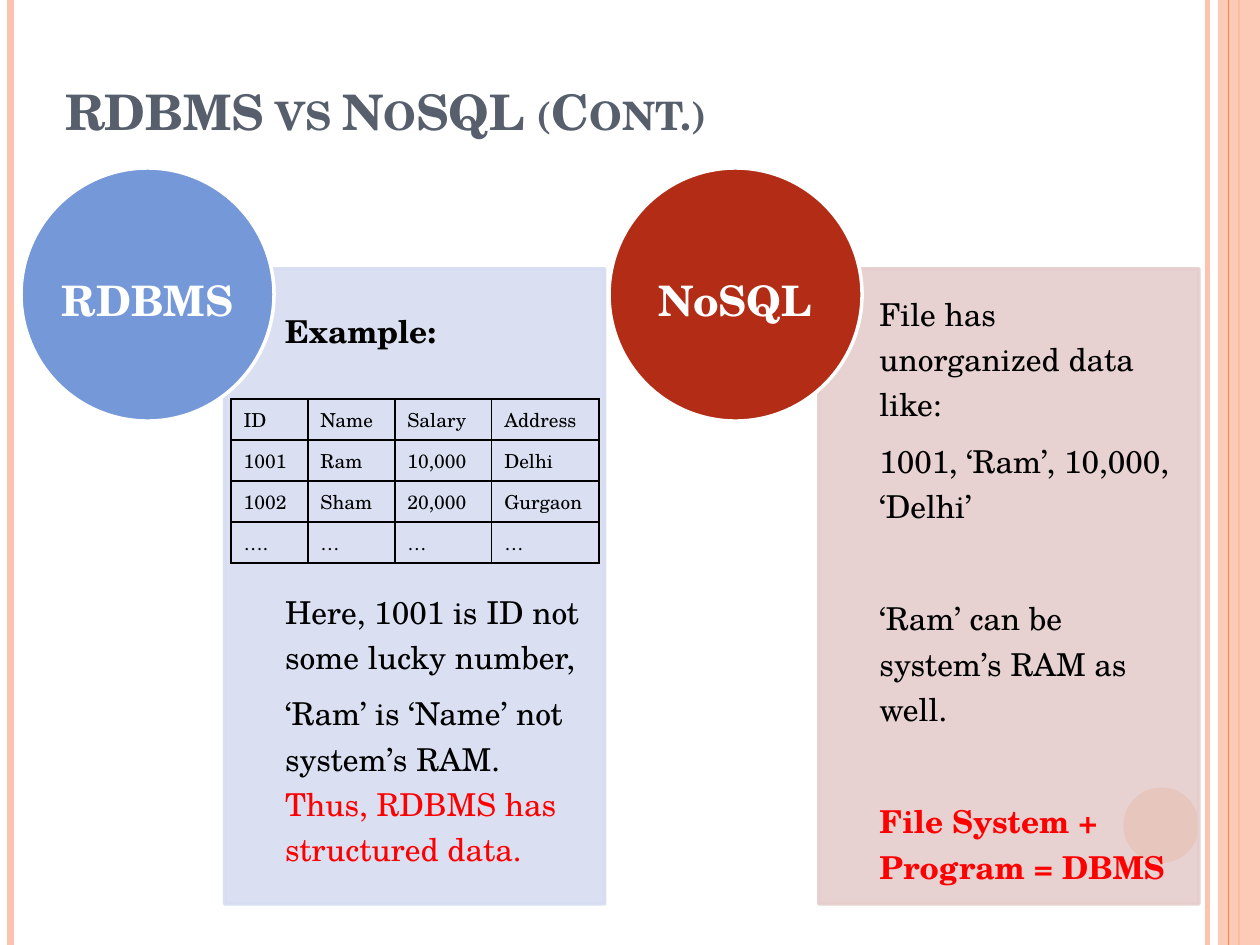
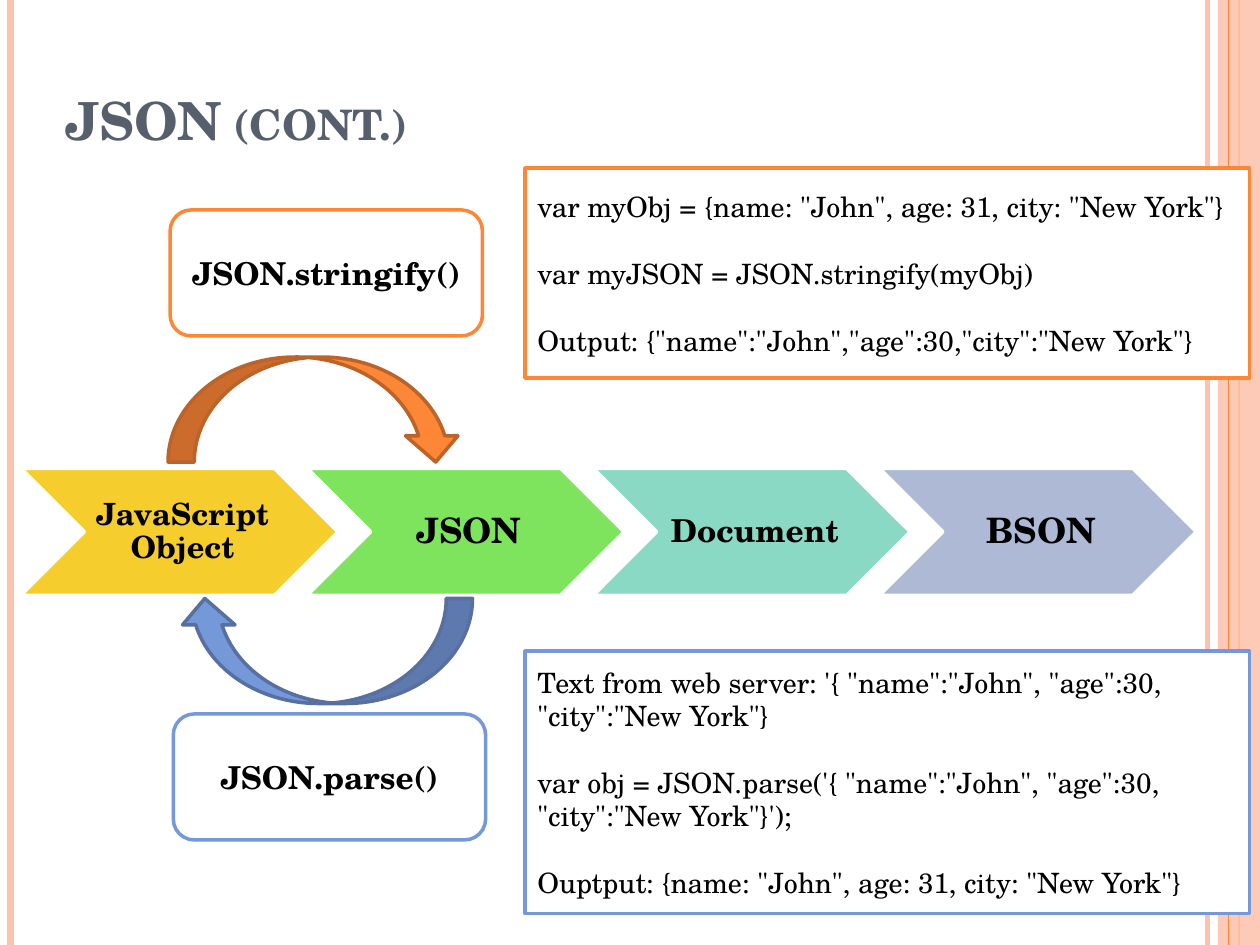
from dataclasses import dataclass

from lxml import etree
from pptx import Presentation
from pptx.dml.color import RGBColor
from pptx.enum.shapes import MSO_CONNECTOR, MSO_SHAPE
from pptx.enum.text import MSO_ANCHOR, MSO_AUTO_SIZE, PP_ALIGN
from pptx.oxml.ns import qn
from pptx.util import Emu, Inches, Pt

RECTANGLE, OVAL = MSO_SHAPE.RECTANGLE, MSO_SHAPE.OVAL
ROUNDED, CHEVRON = MSO_SHAPE.ROUNDED_RECTANGLE, MSO_SHAPE.CHEVRON
CURVED_ARROW = MSO_SHAPE.CURVED_DOWN_ARROW
LEFT, CENTER = PP_ALIGN.LEFT, PP_ALIGN.CENTER
MIDDLE, BOTTOM = MSO_ANCHOR.MIDDLE, MSO_ANCHOR.BOTTOM


@dataclass(frozen=True)
class Theme:
    font: str = "TeX Gyre Schola"
    black: str = "000000"
    white: str = "FFFFFF"
    red: str = "FF0000"
    title: str = "575F6D"
    peach: str = "FEC3AE"
    orange: str = "FE8637"
    dark_orange: str = "BC6329"
    blue: str = "7598D9"
    dark_blue: str = "5770A1"
    brick: str = "B32C16"
    pale_blue: str = "D6DDF1"
    pale_red: str = "E5CDCC"
    heading_size: float = 24
    body_size: float = 18
    code_size: float = 16
    table_size: float = 11


THEME = Theme()

# The slide is a grid of 120 columns by 90 rows.
GRID = Inches(1 / 12)
COLUMNS, ROWS = 120, 90


def add_box(page, kind, place, fill, line=None, opacity=100, insets=(0.1, 0.05, 0.1, 0.05)):
    """Add a flat shape; place is in grid cells, insets (left to bottom) in inches."""
    box = page.shapes.add_shape(kind, *[Emu(round(cell * GRID)) for cell in place])
    box.shadow.inherit = False
    box.fill.solid()
    box.fill.fore_color.rgb = RGBColor.from_string(fill)
    if line:
        box.line.color.rgb = RGBColor.from_string(line)
        box.line.width = Pt(2)
    else:
        box.line.fill.background()
    if opacity < 100:
        for color in box.element.spPr.iter(qn("a:srgbClr")):
            etree.SubElement(color, qn("a:alpha")).set("val", str(opacity * 1000))
    frame = box.text_frame
    frame.word_wrap = True
    frame.vertical_anchor = MIDDLE
    (frame.margin_left, frame.margin_top,
     frame.margin_right, frame.margin_bottom) = map(Inches, insets)
    return box


def write(frame, text, *, size=THEME.body_size, color=THEME.black, bold=False,
          align=LEFT, line=1.0, before=0, after=0, joined=False):
    """Add a paragraph, or with joined a span at the end of the last one."""
    para = frame.paragraphs[-1]
    if para.runs and not joined:
        para = frame.add_paragraph()
    para.alignment, para.line_spacing = align, line
    para.space_before, para.space_after = Pt(before), Pt(after)
    span = para.add_run()
    span.text = text
    span.font.name, span.font.size, span.font.bold = THEME.font, Pt(size), bold
    span.font.color.rgb = RGBColor.from_string(color)
    return span


deck = Presentation()
deck.slide_width, deck.slide_height = COLUMNS * GRID, ROWS * GRID

# Titles
pages = []
for text, size, top in [("RDBMS vs NoSQL (Cont.)", 28, -1), ("JSON (cont.)", 30, 0)]:
    page = deck.slides.add_slide(deck.slide_layouts[5])
    title = page.shapes.title
    title.left, title.top, title.width, title.height = 5 * GRID, top * GRID, 98 * GRID, 15 * GRID
    title.text_frame.auto_size = MSO_AUTO_SIZE.NONE
    title.text_frame.vertical_anchor = BOTTOM
    span = write(title.text_frame, text, size=size, color=THEME.title, bold=True)
    span.font._element.set("cap", "small")
    pages.append(page)
comparison_page, json_page = pages

# Side bands, moved to the master so that both slides share them
stripes = []
for column, color, width in [(115, THEME.peach, 3), (1, THEME.peach, 4.5),
                             (118, THEME.orange, 1.5), (117, THEME.orange, 0.75)]:
    stripe = comparison_page.shapes.add_connector(
        MSO_CONNECTOR.STRAIGHT, column * GRID, 0, column * GRID, ROWS * GRID)
    stripe.line.color.rgb = RGBColor.from_string(color)
    stripe.line.width = Pt(width)
    etree.SubElement(stripe.element.spPr, qn("a:effectLst"))
    stripes.append(stripe)
band = add_box(comparison_page, RECTANGLE, (116, 0, 4, ROWS), THEME.peach, opacity=87)
for number, part in enumerate([*stripes[:3], band, stripes[3]], start=20):
    part.element.xpath(".//p:cNvPr")[0].set("id", str(number))
    deck.slide_master.shapes.element.append(part.element)

# Slide 1: two panels, each with a round heading
add_box(comparison_page, OVAL, (107, 75, 7.2, 7.2), THEME.orange)
BLANK_LINE = 32
panels = [
    ("RDBMS", THEME.blue, THEME.pale_blue, [
        ("Example:", {"bold": True}),
        ("Here, 1001 is ID not some lucky number,", {"before": 4 * BLANK_LINE}),
        ("‘Ram’ is ‘Name’ not system’s RAM. ", {}),
        ("Thus, RDBMS has structured data.", {"color": THEME.red, "joined": True}),
    ]),
    ("NoSQL", THEME.brick, THEME.pale_red, [
        ("File has unorganized data like:", {}),
        ("1001, ‘Ram’, 10,000, ‘Delhi’", {}),
        ("‘Ram’ can be system’s RAM as well.", {"before": BLANK_LINE}),
        ("File System + Program = DBMS",
         {"before": BLANK_LINE, "color": THEME.red, "bold": True}),
    ]),
]
for index, (heading, strong, pale, lines) in enumerate(panels):
    panel = add_box(comparison_page, RECTANGLE, (21.4 + 56.6 * index, 25.6, 36.2, 60.5),
                    pale, pale, opacity=90, insets=(0.48, 0.14, 0.14, 0.14))
    for text, style in lines:
        write(panel.text_frame, text, line=1.2, after=6.3, **style)
    circle = add_box(comparison_page, OVAL, (2 + 56 * index, 16, 24.1, 24.1),
                     strong, THEME.white, insets=(0, 0, 0, 0))
    write(circle.text_frame, heading, size=THEME.heading_size, color=THEME.white,
          bold=True, align=CENTER, line=1.2, after=8.4)

# Slide 1: example table
records = [
    ("ID", "Name", "Salary", "Address"),
    ("1001", "Ram", "10,000", "Delhi"),
    ("1002", "Sham", "20,000", "Gurgaon"),
    ("….", "…", "…", "…"),
]
table = comparison_page.shapes.add_table(
    4, 4, 22 * GRID, 38 * GRID, 35 * GRID, Inches(1.3)).table
table.first_row = table.horz_banding = False
for column, width in zip(table.columns, (0.61, 0.69, 0.77, 0.85)):
    column.width = Inches(width)
for row, record in zip(table.rows, records):
    row.height = Inches(0.325)
    for cell, text in zip(row.cells, record):
        cell.vertical_anchor = MIDDLE
        write(cell.text_frame, text, size=THEME.table_size)
        properties = cell._tc.get_or_add_tcPr()
        for side in ("a:lnL", "a:lnR", "a:lnT", "a:lnB"):
            border = etree.SubElement(properties, qn(side), w=str(Pt(1)))
            paint = etree.SubElement(border, qn("a:solidFill"))
            etree.SubElement(paint, qn("a:srgbClr"), val=THEME.black)
        cell.fill.background()

# Slide 2: chain of formats
steps = [("JavaScript Object", "F5CD2D", 17.5), ("JSON", "7EE45E", 20),
         ("Document", "89D9C4", 18), ("BSON", "AEBAD5", 20)]
for index, (text, fill, size) in enumerate(steps):
    step = add_box(json_page, CHEVRON, (2 + 27.25 * index, 44.6, 30.2, 12.1),
                   fill, THEME.white, insets=(0.08, 0.03, 0.03, 0.03))
    write(step.text_frame, text, size=size, bold=True, align=CENTER, line=0.9)

# Slide 2: conversions, each with an arrow, a function name and sample code
conversions = [
    ("JSON.stringify()", THEME.orange, THEME.dark_orange, 0,
     (16, 34, 28, 10), (16.2, 20, 29.75, 12), (50, 16, 69, 20), [
         'var myObj = {name: "John", age: 31, city: "New York"}',
         'var myJSON = JSON.stringify(myObj)',
         'Output: {"name":"John","age":30,"city":"New York"}']),
    ("JSON.parse()", THEME.blue, THEME.dark_blue, 180,
     (17, 57, 28, 10), (16.5, 68, 29.75, 12), (50, 62, 69, 25), [
         'Text from web server: \'{ "name":"John", "age":30, "city":"New York"}',
         'var obj = JSON.parse(\'{ "name":"John", "age":30, "city":"New York"}\');',
         'Ouptput: {name: "John", age: 31, city: "New York"}']),
]
for name, color, edge, turn, arrow_place, name_place, code_place, code in conversions:
    arrow = add_box(json_page, CURVED_ARROW, arrow_place, color, edge)
    arrow.rotation = turn
    label = add_box(json_page, ROUNDED, name_place, THEME.white, color)
    write(label.text_frame, name, bold=True, align=CENTER)
    sample = add_box(json_page, RECTANGLE, code_place, THEME.white, color)
    for index, text in enumerate(code):
        write(sample.text_frame, text, size=THEME.code_size, before=19 if index else 0)

deck.save("out.pptx")
